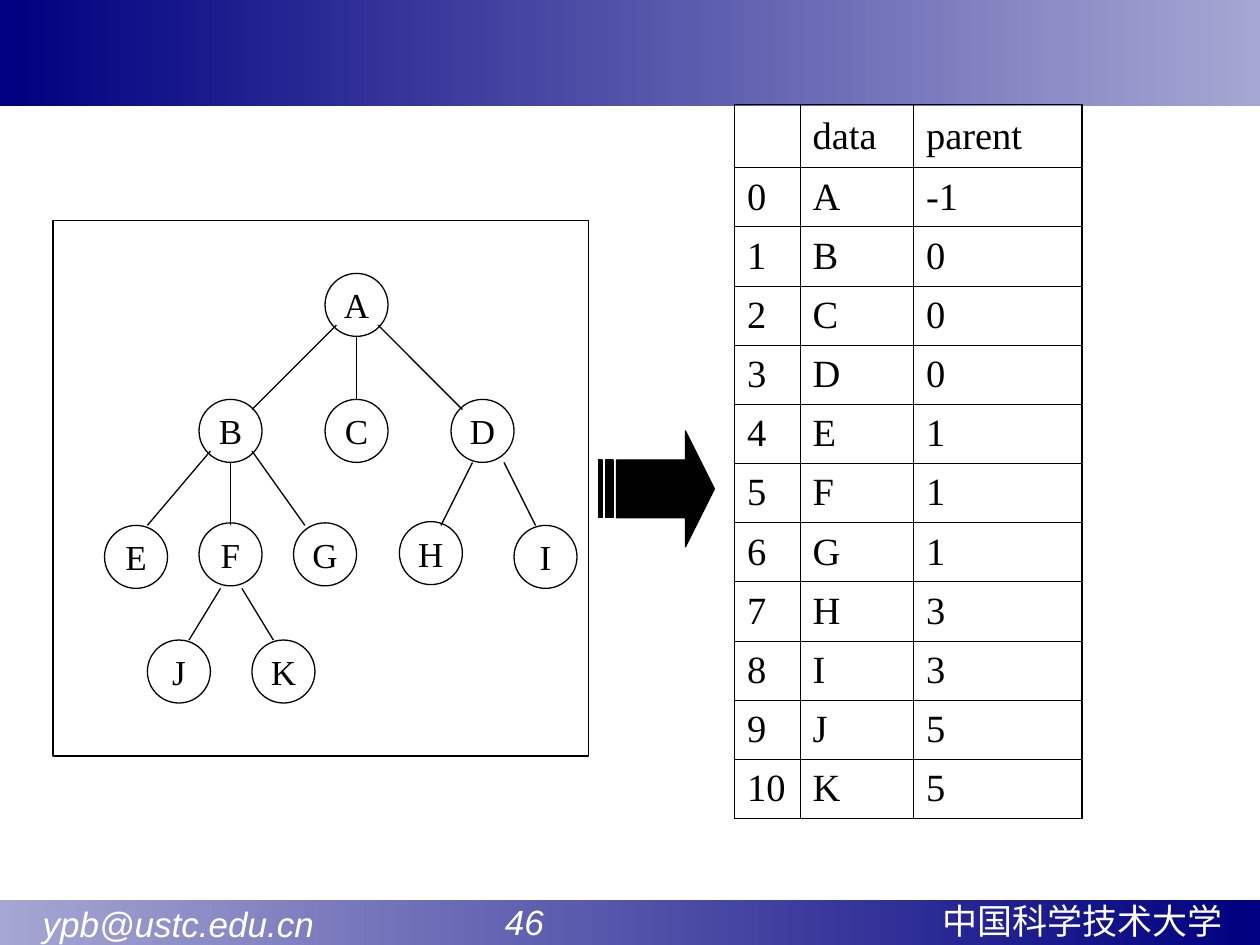
from dataclasses import dataclass

from lxml import etree
from pptx import Presentation
from pptx.dml.color import RGBColor
from pptx.enum.shapes import MSO_CONNECTOR, MSO_SHAPE
from pptx.enum.text import MSO_ANCHOR, PP_ALIGN
from pptx.oxml.ns import qn
from pptx.util import Inches, Pt

RECT, OVAL, ARROW = MSO_SHAPE.RECTANGLE, MSO_SHAPE.OVAL, MSO_SHAPE.STRIPED_RIGHT_ARROW
STRAIGHT = MSO_CONNECTOR.STRAIGHT
TOP, MIDDLE = MSO_ANCHOR.TOP, MSO_ANCHOR.MIDDLE
LEFT, CENTER, JUSTIFY = PP_ALIGN.LEFT, PP_ALIGN.CENTER, PP_ALIGN.JUSTIFY


@dataclass(frozen=True)
class Theme:
    ink: str = "000000"
    white: str = "FFFFFF"
    navy: str = "000080"
    lavender: str = "A6A6D3"
    serif: str = "Times New Roman"
    sans: str = "Arial"
    label: float = 20
    cell: float = 22
    line: float = 0.75
    outer_border: float = 1.08
    inner_border: float = 0.45


class Deck:
    def __init__(self, prs, theme):
        self.theme = theme
        self.slide = prs.slides.add_slide(prs.slide_layouts[6])

    def set_text(self, p, text, size, font, color, align, italic=False):
        p.text = text
        p.alignment = align
        p.font.size = Pt(size)
        p.font.name = font
        p.font.italic = italic
        p.font.color.rgb = RGBColor.from_string(color)

    def shape(self, kind, x, y, w, h, fill=None):
        s = self.slide.shapes.add_shape(kind, Inches(x), Inches(y), Inches(w), Inches(h))
        s.shadow.inherit = False
        if fill:
            s.fill.solid()
            s.fill.fore_color.rgb = RGBColor.from_string(fill)
        else:
            s.fill.background()
        s.line.color.rgb = RGBColor.from_string(self.theme.ink)
        s.line.width = Pt(self.theme.line)
        return s

    def band(self, y, h, start, end):
        s = self.shape(RECT, 0, y, 10, h)
        s.line.fill.background()
        s.fill.gradient()
        s.fill.gradient_angle = 0
        for stop, color in zip(s.fill.gradient_stops, (start, end)):
            stop.color.rgb = RGBColor.from_string(color)

    def footer(self, text, x, y, w, h, italic):
        s = self.slide.shapes.add_textbox(Inches(x), Inches(y), Inches(w), Inches(h))
        tf = s.text_frame
        tf.word_wrap = True
        tf.vertical_anchor = TOP
        t = self.theme
        self.set_text(tf.paragraphs[0], text, t.label, t.sans, t.white, LEFT, italic)

    def node(self, text, x, y):
        s = self.shape(OVAL, x, y, 0.5, 0.5)
        tf = s.text_frame
        tf.word_wrap = False
        tf.vertical_anchor = MIDDLE
        t = self.theme
        self.set_text(tf.paragraphs[0], text, t.label, t.serif, t.ink, CENTER)

    def edge(self, x1, y1, x2, y2):
        s = self.slide.shapes.add_connector(
            STRAIGHT, Inches(x1), Inches(y1), Inches(x2), Inches(y2))
        s.line.color.rgb = RGBColor.from_string(self.theme.ink)
        s.line.width = Pt(self.theme.line)
        etree.SubElement(s._element.spPr, qn("a:effectLst"))

    def borders(self, cell, outer):
        tc_pr = cell._tc.get_or_add_tcPr()
        for i, (side, is_outer) in enumerate(zip("LRTB", outer)):
            width = self.theme.outer_border if is_outer else self.theme.inner_border
            ln = etree.Element(qn(f"a:ln{side}"), w=str(int(Pt(width))))
            fill = etree.SubElement(ln, qn("a:solidFill"))
            etree.SubElement(fill, qn("a:srgbClr"), val=self.theme.ink)
            tc_pr.insert(i, ln)

    def table(self, x, y, widths, heights, rows):
        frame = self.slide.shapes.add_table(
            len(rows), len(widths), Inches(x), Inches(y),
            Inches(sum(widths)), Inches(sum(heights)))
        table = frame.table
        table.first_row = table.horz_banding = False
        for column, w in zip(table.columns, widths):
            column.width = Inches(w)
        t = self.theme
        last_row, last_col = len(rows) - 1, len(widths) - 1
        for r, values in enumerate(rows):
            table.rows[r].height = Inches(heights[r])
            for c, value in enumerate(values):
                cell = table.cell(r, c)
                cell.fill.background()
                cell.vertical_anchor = MIDDLE
                if value:
                    self.set_text(cell.text_frame.paragraphs[0], value,
                                  t.cell, t.serif, t.ink, JUSTIFY)
                self.borders(cell, (c == 0, c == last_col, r == 0, r == last_row))


NODES = {
    "A": (2.58, 2.17),
    "B": (1.58, 3.17), "C": (2.58, 3.17), "D": (3.58, 3.17),
    "E": (0.83, 4.17), "F": (1.58, 4.15), "G": (2.33, 4.15),
    "H": (3.17, 4.14), "I": (4.08, 4.17),
    "J": (1.17, 5.08), "K": (2, 5.08),
}
EDGES = [
    (2.67, 2.58, 2, 3.25), (3, 2.58, 3.67, 3.25), (2.83, 2.67, 2.83, 3.17),
    (1.67, 3.58, 1.17, 4.17), (2, 3.58, 2.42, 4.17), (1.83, 3.67, 1.83, 4.17),
    (3.75, 3.67, 3.5, 4.17), (4, 3.67, 4.25, 4.17),
    (1.75, 4.67, 1.5, 5.08), (1.92, 4.67, 2.17, 5.08),
]
PARENTS = [-1, 0, 0, 0, 1, 1, 1, 3, 3, 5, 5]


def main():
    prs = Presentation()
    prs.slide_width, prs.slide_height = Inches(10), Inches(7.5)
    theme = Theme()
    deck = Deck(prs, theme)

    deck.band(7.14, 0.39, theme.lavender, theme.navy)
    deck.band(0, 0.84, theme.navy, theme.lavender)
    deck.footer("中国科学技术大学", 7.38, 7.09, 2.57, 0.43, False)
    deck.footer("46", 3.91, 7.1, 1.47, 0.44, True)
    deck.footer("ypb@ustc.edu.cn", 0.24, 7.11, 2.43, 0.44, True)

    rows = [("", "data", "parent")]
    rows += [(str(i), name, str(parent))
             for i, (name, parent) in enumerate(zip(NODES, PARENTS))]
    deck.table(5.83, 0.83, [0.52, 0.9, 1.34], [0.5] + [0.47] * len(NODES), rows)

    for name, (x, y) in NODES.items():
        deck.node(name, x, y)
    for ends in EDGES:
        deck.edge(*ends)

    arrow = deck.shape(ARROW, 4.75, 3.42, 0.92, 0.92, theme.ink)
    arrow.adjustments[0], arrow.adjustments[1] = 0.5, 0.25
    deck.shape(RECT, 0.42, 1.75, 4.25, 4.25)

    prs.save("out.pptx")


if __name__ == "__main__":
    main()
